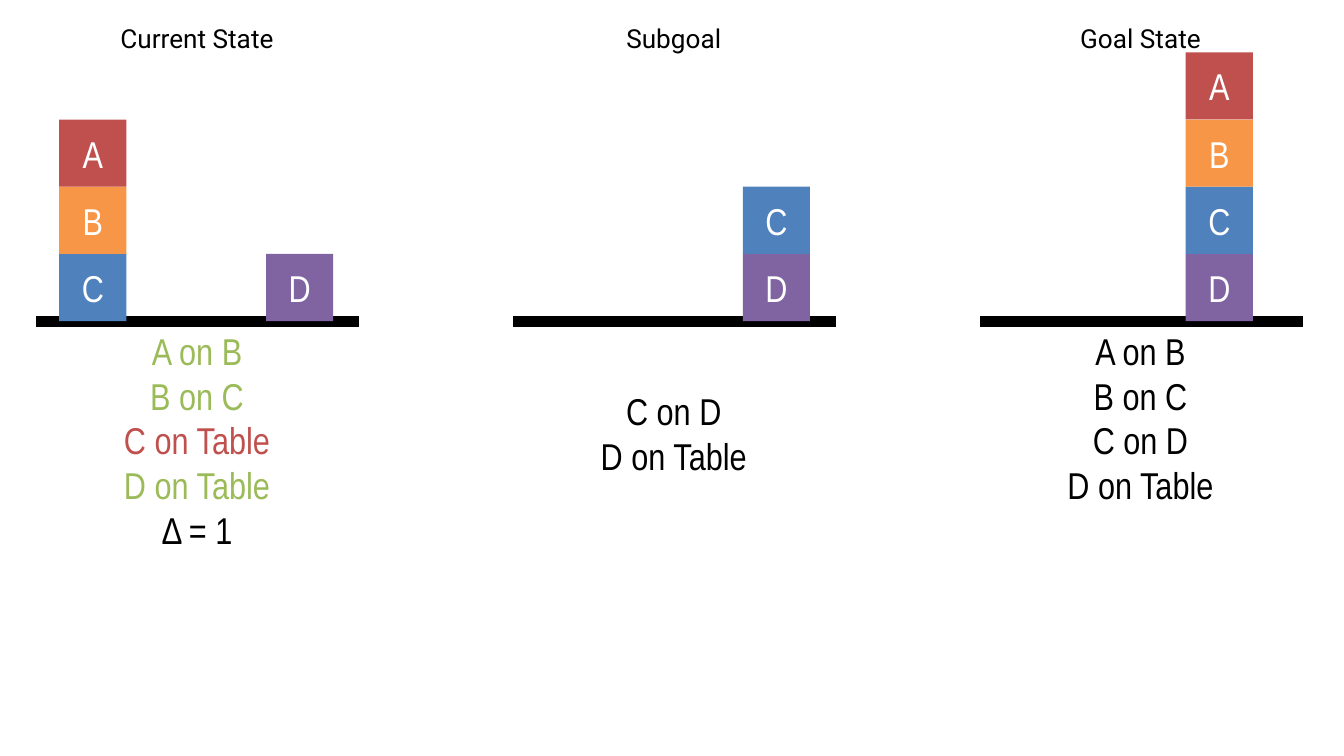
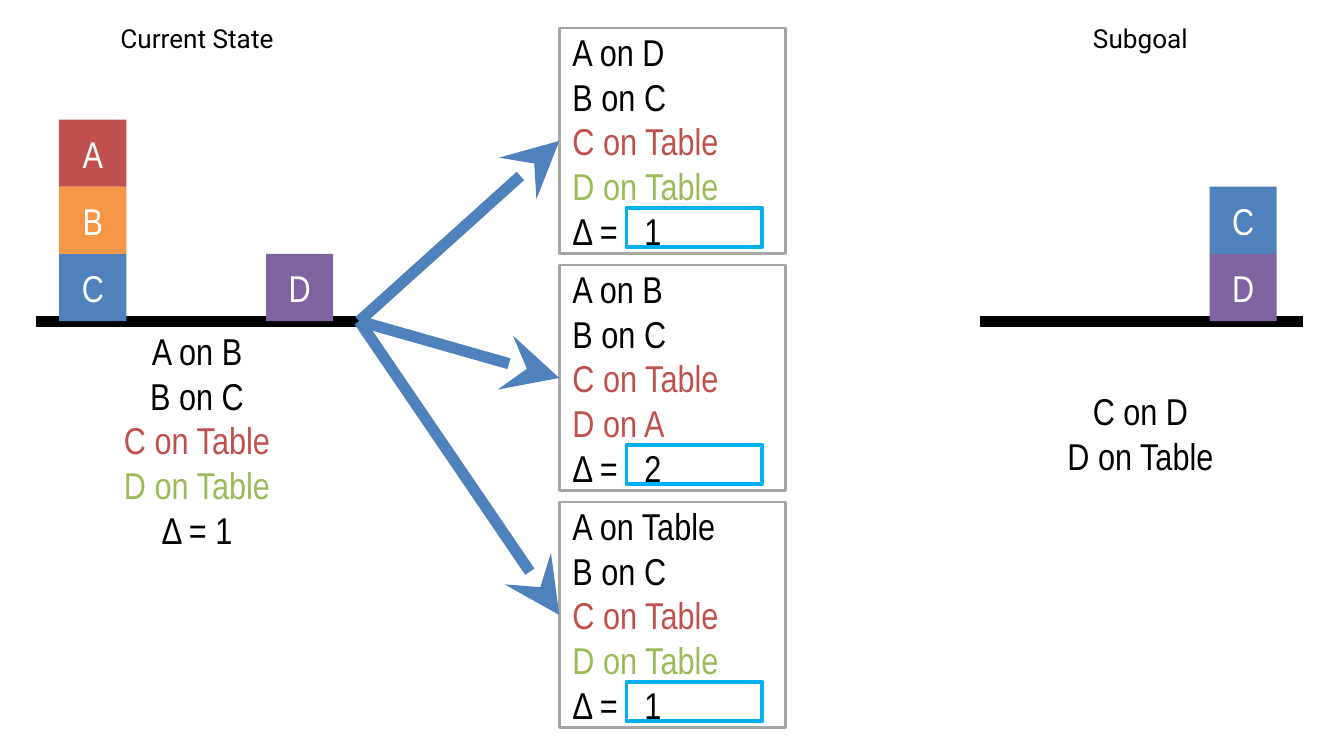
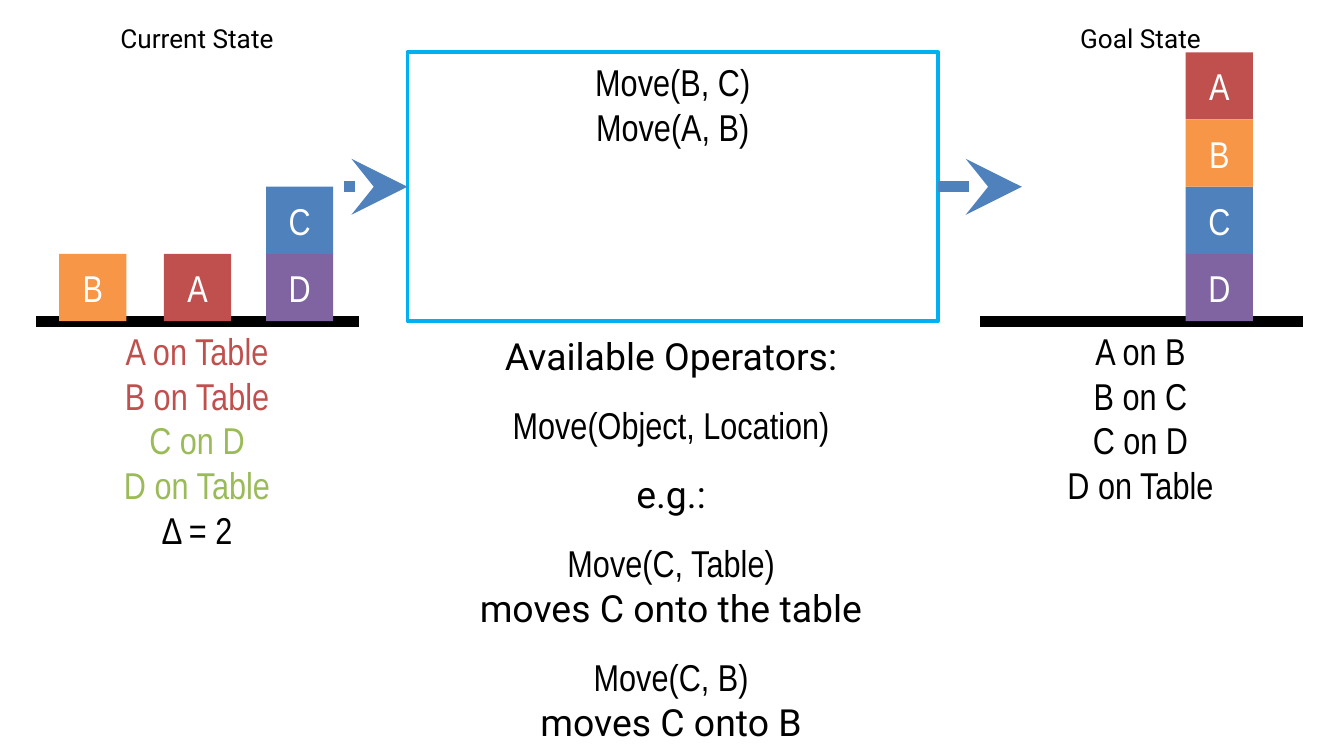
import dataclasses

import lxml.etree
import pptx
import pptx.dml.color
import pptx.enum.shapes
import pptx.enum.text
import pptx.oxml.ns
import pptx.util

Cm = pptx.util.Cm
ALIGN = pptx.enum.text.PP_ALIGN
ANCHOR = pptx.enum.text.MSO_ANCHOR
RECTANGLE = pptx.enum.shapes.MSO_SHAPE.RECTANGLE
LEFT_SIDE, RIGHT_SIDE = 1, 3


@dataclasses.dataclass(frozen=True)
class Theme:
    black: str = "000000"
    white: str = "FFFFFF"
    met: str = "9BBB59"
    unmet: str = "C0504D"
    arrow: str = "4F81BD"
    panel: str = "A6A6A6"
    highlight: str = "00B0F0"
    blocks: tuple = (("A", "C0504D"), ("B", "F79646"), ("C", "4F81BD"), ("D", "8064A2"))
    fact_font: str = "Arial Narrow"
    label_font: str = "Roboto"
    title_size: float = 14
    body_size: float = 20
    thick: float = 6
    highlight_line: float = 2
    panel_line: float = 1.5


@dataclasses.dataclass(frozen=True)
class Box:
    left: float
    top: float
    width: float
    height: float

    def inner(self, left, top, width, height):
        return Box(self.left + left, self.top + top, width, height)

    def lengths(self):
        return [Cm(value) for value in (self.left, self.top, self.width, self.height)]


@dataclasses.dataclass(frozen=True)
class Line:
    """One paragraph of text."""
    text: str
    color: str = Theme.black
    font: str = Theme.fact_font
    size: float = Theme.body_size
    before: float = 0


THEME = Theme()
BLOCK_COLORS = dict(THEME.blocks)

# Lengths in centimetres
BLOCK = 1.27
TABLE_LEVEL = 6.07
LINE_HEIGHT = 0.84
INSET_X, INSET_Y = 0.25, 0.13
SCENE_WIDTH = 6.1
FACTS_WIDTH = 6.07
TITLE_TOP, TITLE_HEIGHT = 0.3, 0.86
VALUE_TAB = 1.36
LEFT_SCENE, MIDDLE_SCENE, RIGHT_SCENE = [
    Box(left, 0, SCENE_WIDTH, TABLE_LEVEL) for left in (0.69, 9.7, 18.52)]

# Positions of block towers along a table
FIRST_SPOT, SECOND_SPOT, GOAL_SPOT, LAST_SPOT = 0.43, 2.41, 3.89, 4.34


def rgb(value):
    return pptx.dml.color.RGBColor.from_string(value)


def set_values(target, values):
    for name, value in values.items():
        setattr(target, name, value)


def met(text):
    return Line(text, THEME.met)


def unmet(text):
    return Line(text, THEME.unmet)


def write_lines(frame, lines, align, **frame_values):
    set_values(frame, {"word_wrap": True, **frame_values})
    for index, line in enumerate(lines):
        paragraph = frame.paragraphs[0] if index == 0 else frame.add_paragraph()
        set_values(paragraph, {"alignment": align,
                               "space_before": pptx.util.Pt(line.before)})
        if "\t" in line.text:
            properties = paragraph._p.get_or_add_pPr()
            tabs = lxml.etree.SubElement(properties, pptx.oxml.ns.qn("a:tabLst"))
            lxml.etree.SubElement(tabs, pptx.oxml.ns.qn("a:tab"),
                                  pos=str(Cm(VALUE_TAB)), algn="l")
        run = paragraph.add_run()
        run.text = line.text
        set_values(run.font, {"name": line.font, "size": pptx.util.Pt(line.size)})
        run.font.color.rgb = rgb(line.color)


def add_text(slide, box, lines, **frame_values):
    frame = slide.shapes.add_textbox(*box.lengths()).text_frame
    fit = pptx.enum.text.MSO_AUTO_SIZE.SHAPE_TO_FIT_TEXT
    write_lines(frame, lines, ALIGN.CENTER, auto_size=fit, **frame_values)


def add_rectangle(slide, box, fill=None, line=None, line_width=0):
    shape = slide.shapes.add_shape(RECTANGLE, *box.lengths())
    shape.shadow.inherit = False
    if fill:
        shape.fill.solid()
        shape.fill.fore_color.rgb = rgb(fill)
    else:
        shape.fill.background()
    if line:
        shape.line.color.rgb = rgb(line)
        shape.line.width = pptx.util.Pt(line_width)
    else:
        shape.line.fill.background()
    return shape


def add_line(slide, start, end, color, arrow=False):
    connector = slide.shapes.add_connector(
        pptx.enum.shapes.MSO_CONNECTOR.STRAIGHT,
        *[Cm(value) for value in (*start, *end)])
    connector.line.color.rgb = rgb(color)
    connector.line.width = pptx.util.Pt(THEME.thick)
    if arrow:
        lxml.etree.SubElement(connector.line._get_or_add_ln(),
                              pptx.oxml.ns.qn("a:tailEnd"),
                              type="stealth", w="lg", len="lg")
    lxml.etree.SubElement(connector._element.spPr, pptx.oxml.ns.qn("a:effectLst"))
    return connector


def add_tower(slide, scene, spot, letters):
    """Stack blocks on the table; letters run from bottom to top."""
    for level, letter in enumerate(letters, start=1):
        box = scene.inner(spot, scene.height - level * BLOCK, BLOCK, BLOCK)
        block = add_rectangle(slide, box, fill=BLOCK_COLORS[letter])
        write_lines(block.text_frame, [Line(letter, THEME.white)], ALIGN.CENTER,
                    vertical_anchor=ANCHOR.MIDDLE)


def add_scene(slide, scene, title, title_width, towers, facts, above=0, below=0):
    """Table with towers, a title over it and facts under it.

    above and below are the text lines left free around the facts.
    """
    # Table and blocks
    level = scene.top + scene.height
    add_line(slide, (scene.left, level), (scene.left + scene.width, level), THEME.black)
    for spot, letters in towers.items():
        add_tower(slide, scene, spot, letters)

    # Title
    title_box = scene.inner((FACTS_WIDTH - title_width) / 2, TITLE_TOP,
                            title_width, TITLE_HEIGHT)
    add_text(slide, title_box,
             [Line(title, font=THEME.label_font, size=THEME.title_size)])

    # Facts
    height = 2 * INSET_Y + (above + len(facts) + below) * LINE_HEIGHT
    add_text(slide, scene.inner(0, scene.height, FACTS_WIDTH, height), facts,
             margin_top=Cm(INSET_Y + above * LINE_HEIGHT),
             margin_bottom=Cm(INSET_Y + below * LINE_HEIGHT))


def add_current_state(slide, towers, facts):
    add_scene(slide, LEFT_SCENE, "Current State", 5.28, towers, facts)


def add_subgoal(slide, scene):
    add_scene(slide, scene, "Subgoal", FACTS_WIDTH, {LAST_SPOT: "DC"},
              [Line("C on D"), Line("D on Table")], above=2, below=1)


def add_goal_state(slide):
    facts = [Line(text) for text in ("A on B", "B on C", "C on D", "D on Table")]
    add_scene(slide, RIGHT_SCENE, "Goal State", 3.73, {GOAL_SPOT: "DCBA"}, facts)


def add_outcome(slide, box, facts, difference):
    """Panel with the facts after a move; returns the panel."""
    panel = add_rectangle(slide, box, line=THEME.panel, line_width=THEME.panel_line)
    write_lines(panel.text_frame, [*facts, Line(f"Δ =\t{difference}")], ALIGN.LEFT,
                vertical_anchor=ANCHOR.MIDDLE)
    add_rectangle(slide, box.inner(1.27, 3.4, 2.57, 0.74),
                  line=THEME.highlight, line_width=THEME.highlight_line)
    return panel


def add_plan(slide, box):
    """Box of chosen moves with an arrow in and an arrow out."""
    plan = add_rectangle(slide, box, line=THEME.highlight,
                         line_width=THEME.highlight_line)
    write_lines(plan.text_frame, [Line("Move(B, C)"), Line("Move(A, B)")],
                ALIGN.CENTER, vertical_anchor=ANCHOR.TOP)
    middle = box.top + box.height / 2
    right = box.left + box.width
    arrow_in = add_line(slide, (box.left - 1.19, middle), (box.left, middle),
                        THEME.arrow, arrow=True)
    arrow_in.end_connect(plan, LEFT_SIDE)
    arrow_out = add_line(slide, (right, middle), (right + 1.58, middle),
                         THEME.arrow, arrow=True)
    arrow_out.begin_connect(plan, RIGHT_SIDE)


def add_operators(slide, box):
    gap = 13
    label = THEME.label_font
    add_text(slide, box, [
        Line("Available Operators:", font=label),
        Line("Move(Object, Location)", before=gap),
        Line("e.g.:", font=label, before=gap),
        Line("Move(C, Table)", before=gap),
        Line("moves C onto the table", font=label),
        Line("Move(C, B)", before=gap),
        Line("moves C onto B", font=label),
    ])


START_TOWERS = {FIRST_SPOT: "CBA", LAST_SPOT: "D"}


def build_subgoal_slide(slide):
    add_current_state(slide, START_TOWERS, [
        met("A on B"), met("B on C"), unmet("C on Table"), met("D on Table"),
        Line("Δ = 1")])
    add_subgoal(slide, MIDDLE_SCENE)
    add_goal_state(slide)


def build_outcomes_slide(slide):
    add_current_state(slide, START_TOWERS, [
        Line("A on B"), Line("B on C"), unmet("C on Table"), met("D on Table"),
        Line("Δ = 1")])
    add_subgoal(slide, RIGHT_SCENE)

    # One panel and arrow for each possible move
    outcomes = [("A on D", met("D on Table"), 1),
                ("A on B", unmet("D on A"), 2),
                ("A on Table", met("D on Table"), 1)]
    side, pitch = 4.27, 4.48
    start = (LEFT_SCENE.left + SCENE_WIDTH, TABLE_LEVEL)
    for index, (place_of_a, place_of_d, difference) in enumerate(outcomes):
        box = Box(10.57, 0.53 + index * pitch, side, side)
        facts = [Line(place_of_a), Line("B on C"), unmet("C on Table"), place_of_d]
        panel = add_outcome(slide, box, facts, difference)
        arrow = add_line(slide, start, (box.left, box.top + side / 2),
                         THEME.arrow, arrow=True)
        arrow.end_connect(panel, LEFT_SIDE)


def build_operators_slide(slide):
    add_current_state(slide, {FIRST_SPOT: "B", SECOND_SPOT: "A", LAST_SPOT: "DC"}, [
        unmet("A on Table"), unmet("B on Table"), met("C on D"), met("D on Table"),
        Line("Δ = 2")])
    add_goal_state(slide)
    add_plan(slide, Box(7.7, 0.99, 10.03, 5.08))
    add_operators(slide, Box(8.1, 6.17, 9.17, 8.15))


def main():
    presentation = pptx.Presentation()
    set_values(presentation, {"slide_width": Cm(25.4), "slide_height": Cm(14.29)})
    blank_layout = presentation.slide_layouts[6]
    for build in (build_subgoal_slide, build_outcomes_slide, build_operators_slide):
        build(presentation.slides.add_slide(blank_layout))
    presentation.save("out.pptx")


if __name__ == "__main__":
    main()
